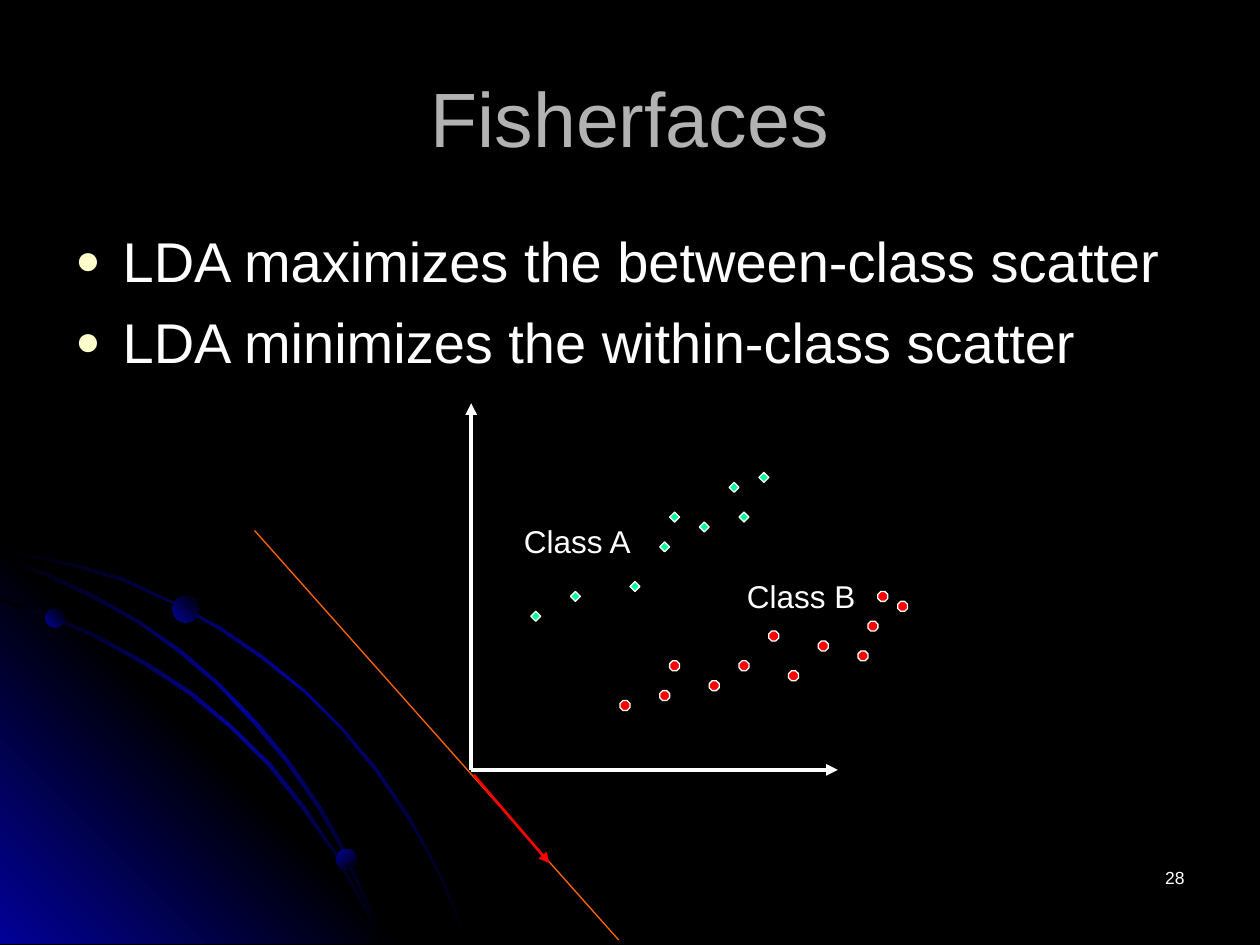
from lxml import etree
from pptx import Presentation
from pptx.dml.color import RGBColor
from pptx.enum.shapes import MSO_CONNECTOR, MSO_SHAPE
from pptx.enum.text import MSO_ANCHOR, MSO_AUTO_SIZE, PP_ALIGN
from pptx.oxml.ns import qn
from pptx.util import Inches, Pt

STRAIGHT = MSO_CONNECTOR.STRAIGHT
DIAMOND, OCTAGON, OVAL = MSO_SHAPE.DIAMOND, MSO_SHAPE.OCTAGON, MSO_SHAPE.OVAL
TOP, MIDDLE = MSO_ANCHOR.TOP, MSO_ANCHOR.MIDDLE
LEFT, CENTER, RIGHT = PP_ALIGN.LEFT, PP_ALIGN.CENTER, PP_ALIGN.RIGHT
FIT = MSO_AUTO_SIZE.SHAPE_TO_FIT_TEXT

THEME = {
    "font": "Arial",
    "back": "000000", "glow": "010199", "title": "B2B2B2", "text": "FFFFFF",
    "bullet": "FFFFCC", "class_a": "00FF99", "class_b": "FF0000",
    "projection": "FF6600", "vector": "FF0000",
    "title_size": 44, "body_size": 32, "label_size": 18, "number_size": 10,
}

prs = Presentation()
prs.slide_width, prs.slide_height = Inches(10), Inches(7.5)
CELL = prs.slide_width / 1000
s = prs.slides.add_slide(prs.slide_layouts[6])
s.background.fill.solid()
s.background.fill.fore_color.rgb = RGBColor.from_string(THEME["back"])


def add_gradient(sp, colors, angle):
    sp.shadow.inherit = False
    sp.line.fill.background()
    sp.fill.gradient()
    sp.fill.gradient_angle = angle
    stops = sp._element.spPr.find(".//" + qn("a:gsLst"))
    for gs in list(stops):
        stops.remove(gs)
    for i, color in enumerate(colors):
        gs = etree.SubElement(stops, qn("a:gs"), pos=str(i * 100000 // (len(colors) - 1)))
        etree.SubElement(gs, qn("a:srgbClr"), val=THEME[color])


def add_text(box, lines, size, color, align=LEFT, anchor=TOP, wrap=True):
    tf = s.shapes.add_textbox(*[round(v * CELL) for v in box]).text_frame
    tf.word_wrap = wrap
    tf.vertical_anchor = anchor
    if not wrap:
        tf.auto_size = FIT
    for i, line in enumerate(lines):
        p = tf.add_paragraph() if i else tf.paragraphs[0]
        p.alignment = align
        r = p.add_run()
        r.text = line
        r.font.name = THEME["font"]
        r.font.size = Pt(THEME[size])
        r.font.color.rgb = RGBColor.from_string(THEME[color])
    return tf


ARC = ("back", "glow", "back")
CORNER = ("glow", "back", "glow")
FALLING, RISING = 315, 45
outlines = [
    (ARC, FALLING, [
        (57, 447), (28, 441), (0, 435), (0, 438), (28, 443), (56, 449), (97, 461),
        (135, 478), (173, 499), (208, 523), (241, 549), (271, 579), (298, 612),
        (323, 649), (337, 673), (350, 698), (360, 723), (370, 749), (372, 749),
        (362, 723), (352, 698), (339, 673), (325, 648), (300, 611), (272, 578),
        (242, 548), (209, 521), (174, 497), (136, 477), (98, 459)]),
    (CORNER, RISING, [(322, 749), (0, 749), (0, 427)]),
    (ARC, FALLING, [
        (285, 714), (294, 732), (301, 749), (303, 749), (296, 730), (286, 712),
        (266, 676), (242, 640), (215, 606), (184, 576), (152, 549), (117, 526),
        (79, 505), (41, 488), (0, 475), (0, 477), (39, 490), (77, 507), (115, 528),
        (150, 551), (183, 578), (213, 608), (240, 642), (265, 677)]),
    (ARC, FALLING, [
        (0, 442), (0, 444), (36, 457), (74, 475), (109, 494), (142, 518), (173, 544),
        (202, 575), (227, 605), (252, 641), (267, 667), (280, 694), (292, 722),
        (301, 749), (303, 749), (294, 720), (282, 693), (269, 665), (254, 639),
        (229, 603), (204, 573), (175, 543), (144, 516), (111, 493), (76, 473),
        (39, 455)]),
]
for colors, angle, points in outlines:
    fb = s.shapes.build_freeform(*points[0], scale=CELL)
    fb.add_line_segments(points[1:], close=True)
    add_gradient(fb.convert_to_shape(), colors, angle)

for x, y, d, angle in [(36, 483, 15, RISING), (267, 674, 16, FALLING), (137, 473, 21, RISING)]:
    sp = s.shapes.add_shape(OVAL, *[round(v * CELL) for v in (x, y, d, d)])
    add_gradient(sp, ("glow", "back"), angle)

add_text((717, 683, 233, 50), ["28"], "number_size", "text", RIGHT)
add_text((50, 30, 900, 125), ["Fisherfaces"], "title_size", "title", CENTER, MIDDLE)
tf = add_text((50, 175, 900, 495), [
    "LDA maximizes the between-class scatter",
    "LDA minimizes the within-class scatter",
], "body_size", "text")
for p in tf.paragraphs:
    p.space_before = Pt(8)
    pPr = p._p.get_or_add_pPr()
    indent = round(37.5 * CELL)
    pPr.set("marL", str(indent))
    pPr.set("indent", str(-indent))
    color = etree.SubElement(pPr, qn("a:buClr"))
    etree.SubElement(color, qn("a:srgbClr"), val=THEME["bullet"])
    etree.SubElement(pPr, qn("a:buSzPct"), val="75000")
    etree.SubElement(pPr, qn("a:buFont"), typeface=THEME["font"])
    etree.SubElement(pPr, qn("a:buChar"), char="●")

PITCH, PLOT_X, PLOT_Y = 7.87, 421.3, 375
classes = [
    (DIAMOND, "class_a", [(0, 14), (14, 4), (21, 4), (20, 1), (10, 11), (4, 12),
                          (13, 7), (23, 0), (17, 5)]),
    (OCTAGON, "class_b", [(13, 22), (14, 19), (24, 16), (18, 21), (21, 19), (34, 15),
                          (33, 18), (37, 13), (29, 17), (26, 20), (35, 12), (9, 23)]),
]
for kind, color, samples in classes:
    for col, row in samples:
        box = (PLOT_X + col * PITCH, PLOT_Y + row * PITCH, PITCH, PITCH)
        sp = s.shapes.add_shape(kind, *[round(v * CELL) for v in box])
        sp.shadow.inherit = False
        sp.fill.solid()
        sp.fill.fore_color.rgb = RGBColor.from_string(THEME[color])
        sp.line.color.rgb = RGBColor.from_string(THEME["text"])
        sp.line.width = Pt(0.75)

for ends, color, width, arrow in [
    ((374, 611, 374, 320), "text", 2.25, True),
    ((374, 611, 665, 611), "text", 2.25, True),
    ((202, 421, 491, 746), "projection", 0.75, False),
    ((376, 615, 436, 685), "vector", 1.5, True),
]:
    cxn = s.shapes.add_connector(STRAIGHT, *[round(v * CELL) for v in ends])
    cxn.line.color.rgb = RGBColor.from_string(THEME[color])
    cxn.line.width = Pt(width)
    if arrow:
        etree.SubElement(cxn.line._get_or_add_ln(), qn("a:tailEnd"), type="triangle")
    etree.SubElement(cxn._element.spPr, qn("a:effectLst"))

for x, y, label in [(406, 409, "Class A"), (583, 453, "Class B")]:
    add_text((x, y, 106, 40), [label], "label_size", "text", wrap=False)

prs.save("out.pptx")
